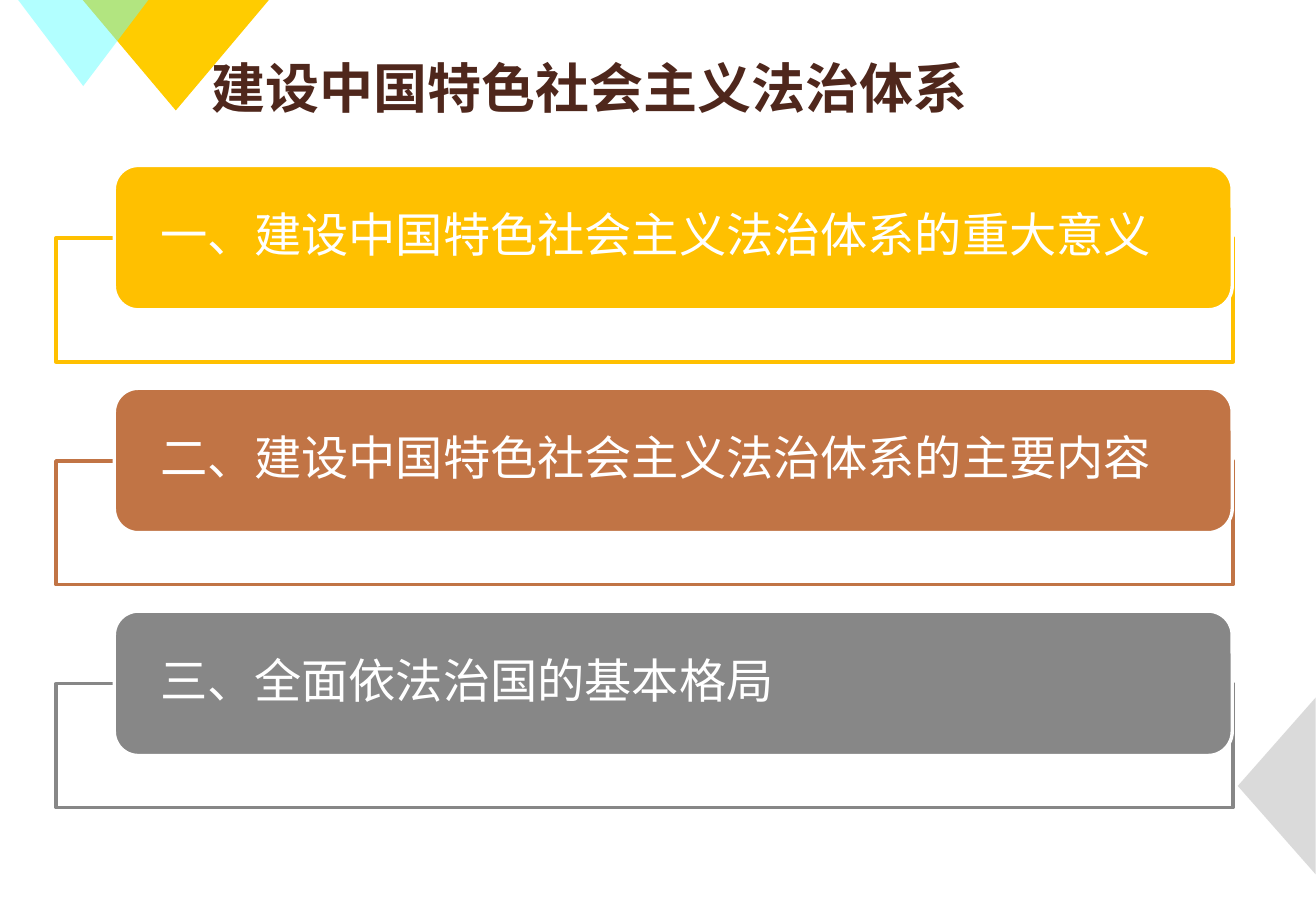
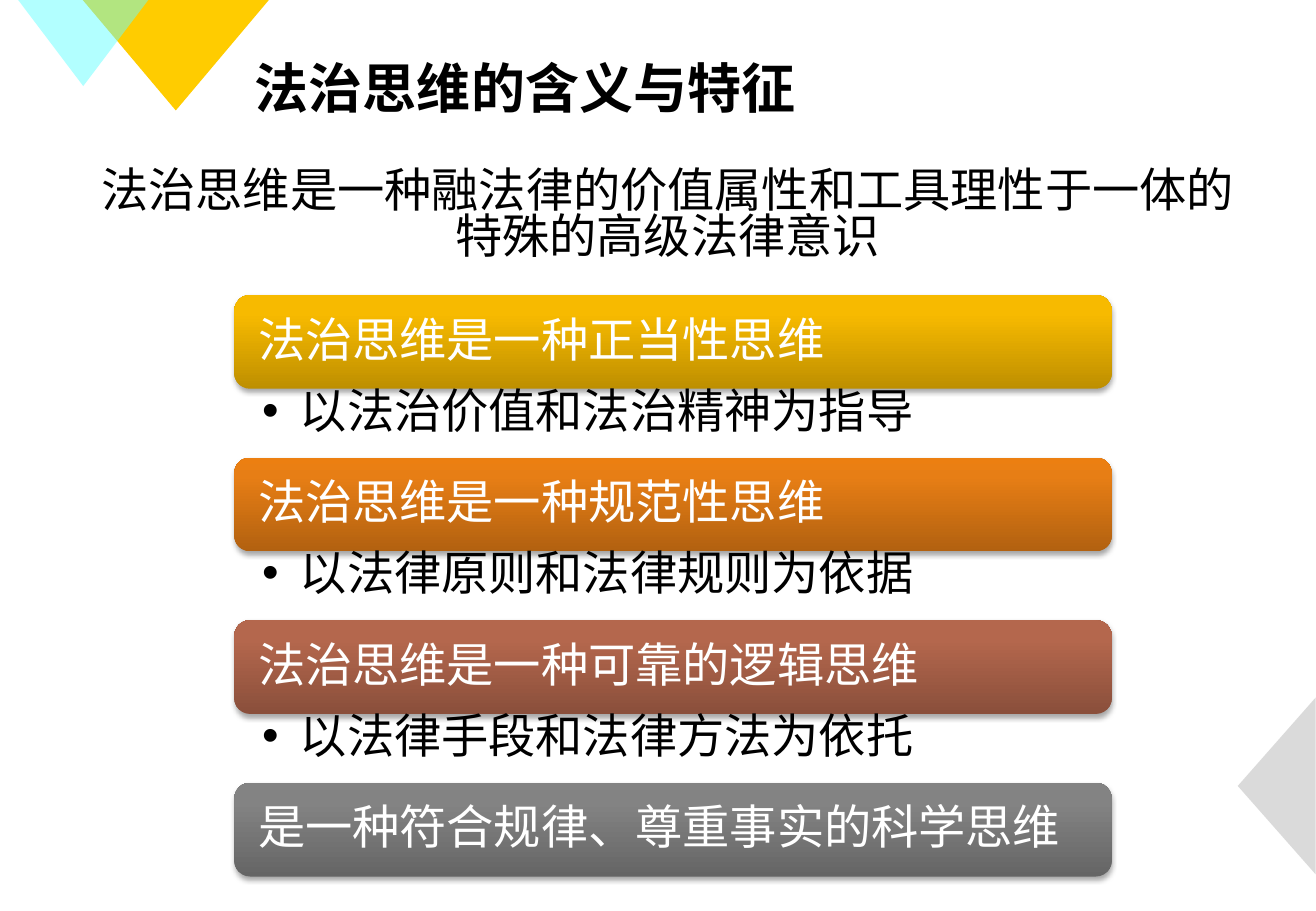
"""Build two slides on the rule-of-law system and rule-of-law thinking."""
from copy import deepcopy

from lxml import etree
from pptx import Presentation
from pptx.dml.color import RGBColor
from pptx.enum.shapes import MSO_SHAPE
from pptx.enum.text import MSO_ANCHOR, MSO_AUTO_SIZE, PP_ALIGN
from pptx.oxml.ns import qn
from pptx.util import Cm, Pt

TRIANGLE = MSO_SHAPE.ISOSCELES_TRIANGLE
ROUNDED = MSO_SHAPE.ROUNDED_RECTANGLE
RECTANGLE = MSO_SHAPE.RECTANGLE
TOP, MIDDLE = MSO_ANCHOR.TOP, MSO_ANCHOR.MIDDLE
LEFT, CENTER, JUSTIFY = PP_ALIGN.LEFT, PP_ALIGN.CENTER, PP_ALIGN.JUSTIFY
NO_AUTOFIT = MSO_AUTO_SIZE.NONE

FONT = "Noto Sans CJK SC"
COLORS = {
    "white": "FFFFFF", "black": "000000", "brown": "4F271C",
    "yellow": "FFCC00", "cyan": "66FFFF", "silver": "B7B7B7",
    "gold": "FFC000", "copper": "C17445", "gray": "878787",
}
GRADIENTS = {
    "gold": ("BE8F00", "F7BA00", "F8BB00"),
    "orange": ("B26110", "E77E15", "EC7F11"),
    "rust": ("8A4F3B", "B4674D", "B7664B"),
    "gray": ("656565", "838383", "838383"),
}
GRADIENT_POSITIONS = (0, 0.8, 1)
DECORATIONS = [
    (1.73, 0, 3.89, 2.31, 180, "yellow", 100),
    (0.38, 0, 2.72, 1.8, 180, "cyan", 50),
    (24.84, 15.62, 3.7, 1.63, 270, "silver", 50),
]
CHAPTERS = [
    ("一、建设中国特色社会主义法治体系的重大意义", "gold"),
    ("二、建设中国特色社会主义法治体系的主要内容", "copper"),
    ("三、全面依法治国的基本格局", "gray"),
]
FEATURES = [
    ("法治思维是一种正当性思维", "gold", "以法治价值和法治精神为指导"),
    ("法治思维是一种规范性思维", "orange", "以法律原则和法律规则为依据"),
    ("法治思维是一种可靠的逻辑思维", "rust", "以法律手段和法律方法为依托"),
    ("是一种符合规律、尊重事实的科学思维", "gray", None),
]


def rgb(name):
    """Return the colour stored under a name."""
    return RGBColor.from_string(COLORS[name])


def place(part, left, top, width, height):
    """Move and size a part, in centimetres."""
    part.left, part.top = Cm(left), Cm(top)
    part.width, part.height = Cm(width), Cm(height)


def write_text(part, text, *, size=28, color="black", bold=False, align=LEFT,
               anchor=MIDDLE, spacing=0.9, side=0.25, edge=0, bullet=None, hang=0):
    """Write one formatted paragraph into a shape, text box or placeholder."""
    frame = part.text_frame
    frame.word_wrap, frame.auto_size = True, NO_AUTOFIT
    frame.vertical_anchor = anchor
    frame.margin_left = frame.margin_right = Cm(side)
    frame.margin_top = frame.margin_bottom = Cm(edge)
    paragraph = frame.paragraphs[0]
    paragraph.alignment, paragraph.line_spacing = align, spacing
    paragraph.space_before = Pt(0)
    properties = paragraph._p.get_or_add_pPr()
    properties.set("marL", str(Cm(hang)))
    properties.set("indent", str(-Cm(hang)))
    if bullet:
        etree.SubElement(properties, qn("a:buFont"), typeface="Arial")
        etree.SubElement(properties, qn("a:buChar"), char=bullet)
    else:
        etree.SubElement(properties, qn("a:buNone"))
    run = paragraph.add_run()
    run.text = text
    run.font.name, run.font.size, run.font.bold = FONT, Pt(size), bold
    run.font.color.rgb = rgb(color)
    etree.SubElement(run._r.get_or_add_rPr(), qn("a:ea"), typeface=FONT)


def add_box(slide, kind, box, *, fill=None, opacity=100, line=None):
    """Add a shadowless preset shape with an optional fill and outline."""
    shape = slide.shapes.add_shape(kind, *map(Cm, box))
    shape.shadow.inherit = False
    if fill:
        shape.fill.solid()
        shape.fill.fore_color.rgb = rgb(fill)
        if opacity < 100:
            color = shape._element.spPr.find(".//" + qn("a:srgbClr"))
            etree.SubElement(color, qn("a:alpha"), val=str(opacity * 1000))
    if line:
        shape.line.color.rgb = rgb(line)
        shape.line.width = Pt(2)
    else:
        shape.line.fill.background()
    return shape


def fill_gradient(shape, colors):
    """Fill a shape with a three-stop gradient that darkens downwards."""
    shape.fill.gradient()
    shape.fill.gradient_angle = 90
    stop_list = shape._element.spPr.find(".//" + qn("a:gsLst"))
    stop_list.append(deepcopy(stop_list[0]))
    for stop, color, position in zip(shape.fill.gradient_stops, colors, GRADIENT_POSITIONS):
        stop.color.rgb = RGBColor.from_string(color)
        stop.position = position


def add_shadow(shape):
    """Give a shape a soft shadow below it."""
    effects = shape._element.spPr.find(qn("a:effectLst"))
    shadow = etree.SubElement(effects, qn("a:outerShdw"), blurRad=str(Pt(3.1)),
                              dist=str(Pt(1.8)), dir="5400000", rotWithShape="0")
    color = etree.SubElement(shadow, qn("a:srgbClr"), val=COLORS["black"])
    etree.SubElement(color, qn("a:alpha"), val="35000")


def decorate_master(master, slide):
    """Draw the corner triangles and move them to the back of the master."""
    for order, (*box, rotation, fill, opacity) in enumerate(DECORATIONS):
        triangle = add_box(slide, TRIANGLE, box, fill=fill, opacity=opacity)
        triangle.rotation = rotation
        triangle._element.nvSpPr.cNvPr.set("id", str(101 + order))
        master.shapes._spTree.insert(2 + order, triangle._element)


def add_title(slide, text, left, width, **style):
    """Fill the title placeholder in the shared title style."""
    place(slide.shapes.title, left, 0.91, width, 1.8)
    write_text(slide.shapes.title, text, size=32, bold=True, spacing=1, **style)


def add_chapter(slide, top, text, color):
    """Add a chapter card in front of its outlined frame."""
    add_box(slide, RECTANGLE, (1.17, top + 1.52, 24.61, 2.59),
            fill="white", opacity=90, line=color)
    card = add_box(slide, ROUNDED, (2.39, top, 23.37, 3.02), fill=color, line="white")
    write_text(card, text, color="white", side=0.81)


def add_feature(slide, top, pitch, heading, gradient, note):
    """Add a gradient heading bar with its bulleted note below."""
    left, width, height = 4.9, 18.34, 1.96
    bar = add_box(slide, ROUNDED, (left, top, width, height))
    fill_gradient(bar, GRADIENTS[gradient])
    add_shadow(bar)
    write_text(bar, heading, color="white", side=0.4)
    if note:
        note_box = slide.shapes.add_textbox(
            Cm(left), Cm(top + height - 0.03), Cm(width), Cm(pitch - height))
        write_text(note_box, note, anchor=TOP, side=0.58, bullet="•", hang=0.79)


def build_chapters(slide):
    """Build the slide that lists the chapters."""
    add_title(slide, "建设中国特色社会主义法治体系", 4.17, 22, color="brown")
    for row, (text, color) in enumerate(CHAPTERS):
        add_chapter(slide, 3.46 + row * 4.66, text, color)


def build_features(slide):
    """Build the slide on the meaning and features of rule-of-law thinking."""
    add_title(slide, "法治思维的含义与特征", 5.08, 19.79, align=JUSTIFY)
    definition = slide.placeholders[1]
    place(definition, 1.75, 3.43, 24.41, 2.59)
    write_text(definition, "法治思维是一种融法律的价值属性和工具理性于一体的特殊的高级法律意识",
               align=CENTER, anchor=TOP, spacing=0.82, edge=0.13)
    pitch = 3.4
    for row, feature in enumerate(FEATURES):
        add_feature(slide, 6.17 + row * pitch, pitch, *feature)


def main():
    """Create and save the presentation."""
    deck = Presentation()
    deck.slide_width, deck.slide_height = Cm(27.51), Cm(19.05)
    content_layout, title_layout = deck.slide_layouts[1], deck.slide_layouts[5]
    chapters = deck.slides.add_slide(title_layout)
    decorate_master(deck.slide_master, chapters)
    build_chapters(chapters)
    build_features(deck.slides.add_slide(content_layout))
    deck.save("out.pptx")


if __name__ == "__main__":
    main()
